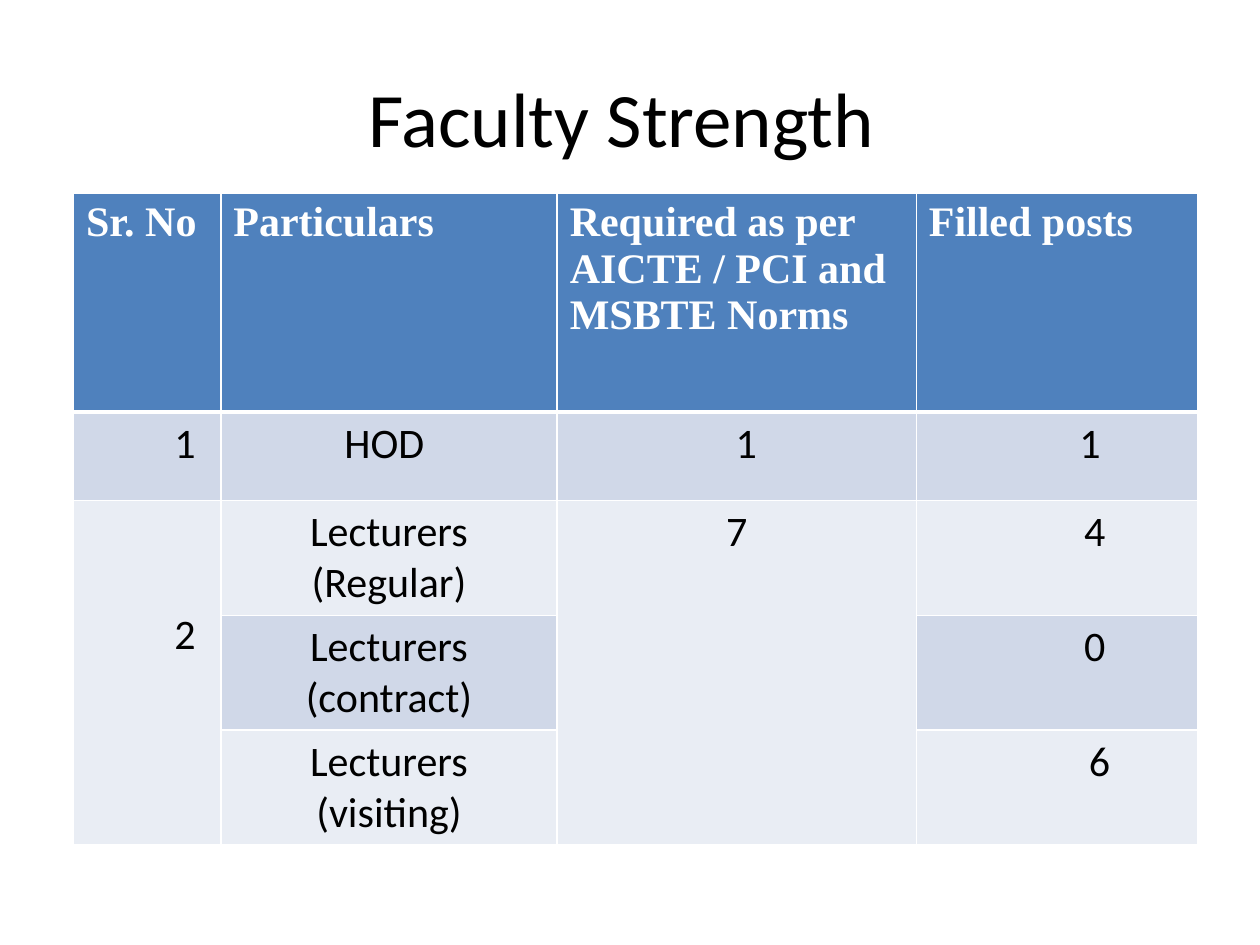
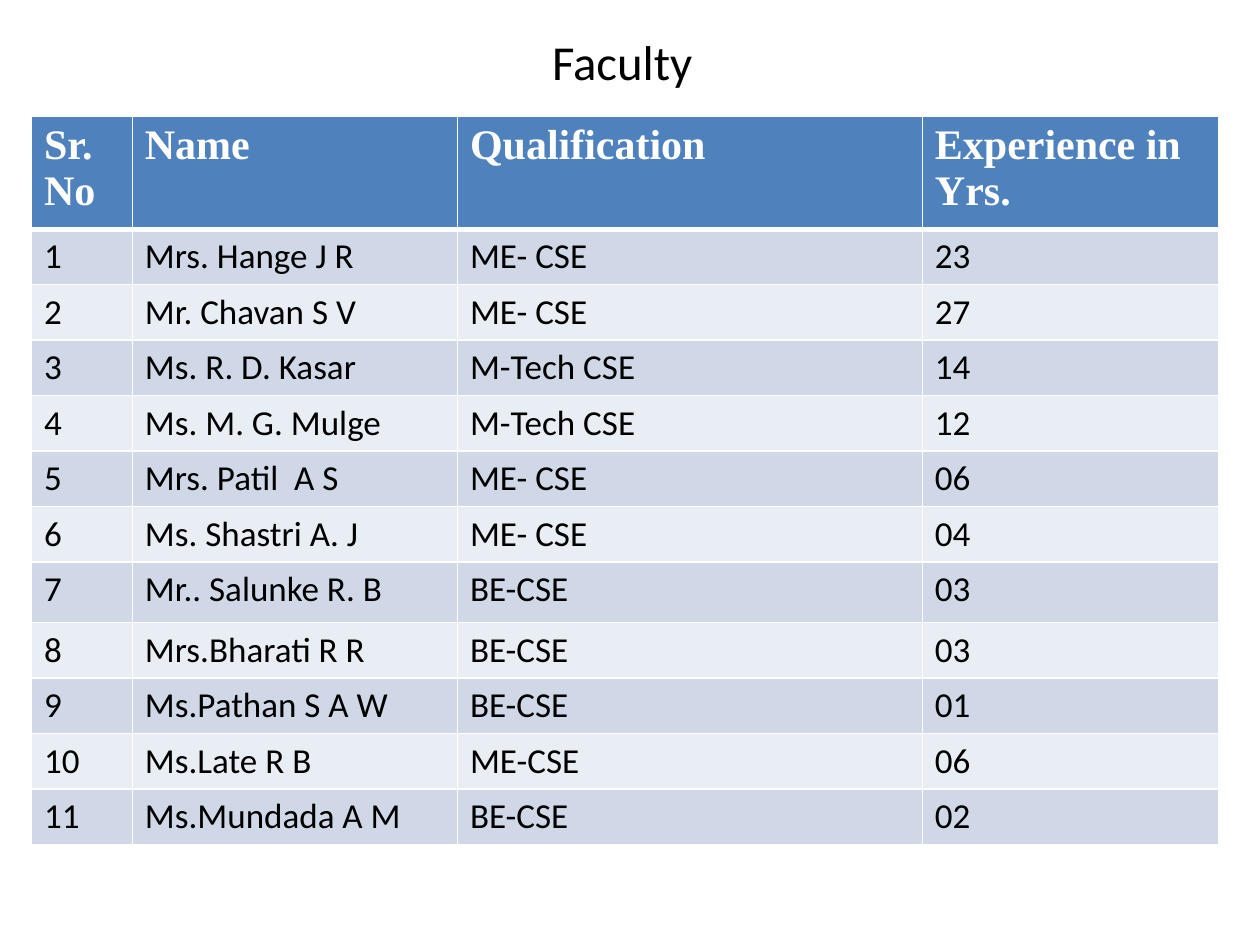
from pptx import Presentation
from pptx.util import Pt
from pptx.dml.color import RGBColor
from pptx.enum.text import PP_ALIGN as Align, MSO_ANCHOR as Anchor
from pptx.oxml import parse_xml
from pptx.oxml.ns import nsdecls

COLORS = {"ink": "000000", "white": "FFFFFF", "header": "4F81BD",
          "odd": "D0D8E8", "even": "E9EDF4"}
BODY_FONT, HEADER_FONT = "Calibri", "Times New Roman"
MARGIN_X, MARGIN_Y = 7.2, 3.6
SPACE = 5.42  # width of one space at 24 pt
LINE = 29.3  # height of one line at 24 pt

STRENGTH_HEADS = ["Sr. No", "Particulars",
                  "Required as per AICTE / PCI and MSBTE Norms", "Filled posts"]
STRENGTH_ROWS = [
    ["1", "HOD ", "1", "1"],
    ["2", "Lecturers (Regular)", "7", "4"],
    ["", "Lecturers (contract)", "", "0"],
    ["", "Lecturers (visiting)", "", "6"],
]
# Left indent of each centred figure, in spaces
STRENGTH_INDENTS = [[8, 0, 2, 7], [8, 0, 0, 8], [0, 0, 0, 8], [0, 0, 0, 9]]

FACULTY_HEADS = ["Sr. No", "Name", "Qualification", "Experience in Yrs."]
FACULTY = [
    ("Mrs. Hange J R", "ME- CSE", "23"),
    ("Mr. Chavan S V", "ME- CSE", "27"),
    ("Ms. R. D. Kasar", "M-Tech CSE", "14"),
    ("Ms. M. G. Mulge", "M-Tech CSE", "12"),
    ("Mrs. Patil  A S", "ME- CSE", "06"),
    ("Ms. Shastri A. J", "ME- CSE", "04"),
    ("Mr.. Salunke R. B", "BE-CSE", "03"),
    ("Mrs.Bharati R R", "BE-CSE", "03"),
    ("Ms.Pathan S A W", "BE-CSE", "01"),
    ("Ms.Late R B", "ME-CSE", "06"),
    ("Ms.Mundada A M", "BE-CSE", "02"),
]


def color(name):
    return RGBColor.from_string(COLORS[name])


def add_span(para, text, size=24, font=BODY_FONT, ink="ink", bold=False):
    span = para.add_run()
    span.text = text
    span.font.size = Pt(size)
    span.font.name = font
    span.font.bold = bold
    span.font.color.rgb = color(ink)


def add_title(page, box, spans):
    """Centred title made of (text, size) spans."""
    frame = page.shapes.add_textbox(*map(Pt, box)).text_frame
    frame.word_wrap = True
    frame.vertical_anchor = Anchor.MIDDLE
    para = frame.paragraphs[0]
    para.alignment = Align.CENTER
    for text, size in spans:
        add_span(para, text, size=size)


def style_cell(cell, fill, top=1, bottom=1):
    """White borders and a solid fill; border widths in points."""
    properties = cell._tc.get_or_add_tcPr()
    for side, width in (("L", 1), ("R", 1), ("T", top), ("B", bottom)):
        properties.append(parse_xml(
            f'<a:ln{side} {nsdecls("a")} w="{Pt(width)}"><a:solidFill>'
            f'<a:srgbClr val="{COLORS["white"]}"/></a:solidFill></a:ln{side}>'))
    cell.fill.solid()
    cell.fill.fore_color.rgb = color(fill)


def add_banded_table(page, left, top, widths, heights, heads, rows,
                     size=24, align=Align.LEFT):
    """Table with a blue header and alternating rows."""
    table = page.shapes.add_table(
        len(heights), len(widths), Pt(left), Pt(top),
        Pt(sum(widths)), Pt(sum(heights))).table
    for column, width in zip(table.columns, widths):
        column.width = Pt(width)
    for row, height in zip(table.rows, heights):
        row.height = Pt(height)

    for r, texts in enumerate([heads, *rows]):
        for c, text in enumerate(texts):
            cell = table.cell(r, c)
            para = cell.text_frame.paragraphs[0]
            if r == 0:
                style_cell(cell, "header", bottom=3)
                add_span(para, text, font=HEADER_FONT, ink="white", bold=True)
                continue
            style_cell(cell, "odd" if r % 2 else "even", top=3 if r == 1 else 1)
            para.alignment = align
            if text:
                add_span(para, text, size=size)
    return table


def build_strength_page(page):
    add_title(page, (36, 21.6, 648, 90), [("Faculty Strength ", 44)])
    table = add_banded_table(
        page, 42, 110.2, [84.2, 192.2, 205.2, 160.6],
        [125.3, 50.4] + [65.7] * 3, STRENGTH_HEADS, STRENGTH_ROWS,
        align=Align.CENTER)

    # Shift the figures to the right of centre
    for r, indents in enumerate(STRENGTH_INDENTS, 1):
        for c, spaces in enumerate(indents):
            table.cell(r, c).margin_left = Pt(MARGIN_X + spaces * SPACE)

    # Lecturers share one number and one norm
    for c in (0, 2):
        table.cell(2, c).merge(table.cell(4, c))
    table.cell(2, 0).margin_top = Pt(MARGIN_Y + 2 * LINE)


def build_faculty_page(page):
    add_title(page, (36, 12.2, 648, 36), [("Faculty", 27.9), (" ", 39.6)])
    heights = [60.5] + [31.7] * len(FACULTY)
    heights[7] = 34.6
    rows = [(str(number), *person) for number, person in enumerate(FACULTY, 1)]
    add_banded_table(page, 18, 66.2, [57.6, 185.8, 265.7, 169.2], heights,
                     FACULTY_HEADS, rows, size=20)


def main():
    deck = Presentation()
    deck.slide_width, deck.slide_height = Pt(720), Pt(540)
    for build in (build_strength_page, build_faculty_page):
        build(deck.slides.add_slide(deck.slide_layouts[6]))
    deck.save("out.pptx")


if __name__ == "__main__":
    main()
